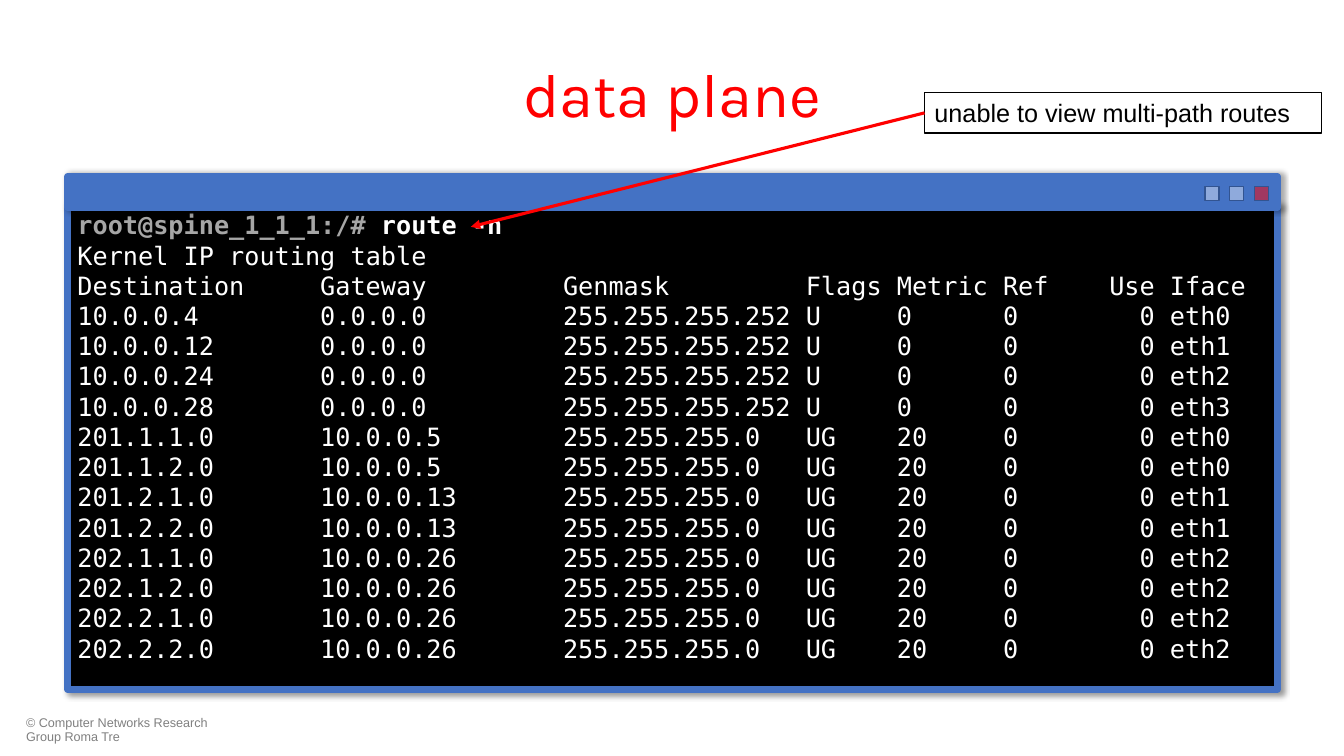
from pptx import Presentation
from pptx.dml.color import RGBColor as RGB
from pptx.enum.shapes import MSO_CONNECTOR as CONN, MSO_SHAPE as SHAPE
from pptx.enum.text import MSO_ANCHOR as ANCHOR, PP_ALIGN as ALIGN
from pptx.oxml.ns import qn
from pptx.util import Inches, Pt
from lxml.etree import SubElement

RED = RGB(0xFF, 0x00, 0x00)
BLACK = RGB(0x00, 0x00, 0x00)
WHITE = RGB(0xFF, 0xFF, 0xFF)
GRAY = RGB(0x80, 0x80, 0x80)
PROMPT_GRAY = RGB(0xA6, 0xA6, 0xA6)
BLUE = RGB(0x44, 0x72, 0xC4)
LIGHT_BLUE = RGB(0x8F, 0xAA, 0xDC)
DARK_BLUE = RGB(0x32, 0x54, 0x91)

MONO = {"name": "DejaVu Sans Mono", "size": Pt(18), "bold": False}
CHAR_WIDTH = 18 * 0.602 / 72
TAB_STOPS = [(16, "l"), (32, "l"), (48, "l"), (54, "l"), (61, "l"), (71, "r"), (72, "l")]

HEADER = ("Destination", "Gateway", "Genmask", "Flags", "Metric", "Ref", "Use", "Iface")
LINKS = [("10.0.0.4", "eth0"), ("10.0.0.12", "eth1"),
         ("10.0.0.24", "eth2"), ("10.0.0.28", "eth3")]
ROUTES = [("201.1.1.0", "10.0.0.5", "eth0"), ("201.1.2.0", "10.0.0.5", "eth0"),
          ("201.2.1.0", "10.0.0.13", "eth1"), ("201.2.2.0", "10.0.0.13", "eth1"),
          ("202.1.1.0", "10.0.0.26", "eth2"), ("202.1.2.0", "10.0.0.26", "eth2"),
          ("202.2.1.0", "10.0.0.26", "eth2"), ("202.2.2.0", "10.0.0.26", "eth2")]


def add_run(p, text, **font):
    """Add a run and set its font values."""
    r = p.add_run()
    r.text = text
    r.font.color.rgb = font.pop("color")
    for key, value in font.items():
        setattr(r.font, key, value)


def add_text(slide, box, text, align=ALIGN.LEFT, anchor=ANCHOR.TOP, **font):
    """Add a wrapped text box with one paragraph and return it."""
    sp = slide.shapes.add_textbox(*map(Inches, box))
    tf = sp.text_frame
    tf.word_wrap = True
    tf.vertical_anchor = anchor
    tf.paragraphs[0].alignment = align
    add_run(tf.paragraphs[0], text, **font)
    return sp


def add_rect(slide, box, fill, line, width):
    """Add a flat rectangle and return it."""
    sp = slide.shapes.add_shape(SHAPE.RECTANGLE, *map(Inches, box))
    sp.shadow.inherit = False
    sp.fill.solid()
    sp.fill.fore_color.rgb = fill
    sp.line.color.rgb = line
    sp.line.width = Pt(width)
    return sp


def add_shadow(sp, alpha, blur, dist, angle):
    """Give a shape a soft black outer shadow."""
    effects = sp._element.spPr.find(qn("a:effectLst"))
    shadow = SubElement(effects, qn("a:outerShdw"), blurRad=str(Pt(blur)), dist=str(Pt(dist)),
                        dir=str(angle * 60000), algn="tl", rotWithShape="0")
    color = SubElement(shadow, qn("a:srgbClr"), val=str(BLACK))
    SubElement(color, qn("a:alpha"), val=str(alpha * 1000))


def set_tabs(p):
    """Place the column tab stops of the routing table on a paragraph."""
    tabs = SubElement(p._p.get_or_add_pPr(), qn("a:tabLst"))
    for column, align in TAB_STOPS:
        SubElement(tabs, qn("a:tab"), pos=str(Inches(column * CHAR_WIDTH)), algn=align)


def fill_console(tf):
    """Write the command and its routing table."""
    tf.word_wrap = True
    tf.vertical_anchor = ANCHOR.TOP
    rows = [HEADER]
    rows += [(net, "0.0.0.0", "255.255.255.252", "U", "0", "0", "0", port)
             for net, port in LINKS]
    rows += [(net, gateway, "255.255.255.0", "UG", "20", "0", "0", port)
             for net, gateway, port in ROUTES]
    p = tf.paragraphs[0]
    p.alignment = ALIGN.LEFT
    bold = {**MONO, "bold": True}
    add_run(p, "root@spine_1_1_1:/# ", color=PROMPT_GRAY, **bold)
    add_run(p, "route -n", color=WHITE, **bold)
    for row in [("Kernel IP routing table",), *rows]:
        p = tf.add_paragraph()
        p.alignment = ALIGN.LEFT
        set_tabs(p)
        add_run(p, "\t".join(row), color=WHITE, **MONO)


def add_terminal(slide, x, y, w, h):
    """Draw the terminal window with its title bar and buttons."""
    screen = add_rect(slide, (x, y + 0.28, w, h - 0.28), BLACK, BLUE, 4.5)
    add_shadow(screen, 40, 4, 3, 45)
    fill_console(screen.text_frame)
    bar = add_rect(slide, (x, y, w, 0.31), BLUE, BLUE, 4.5)
    add_shadow(bar, 32, 4, 2, 0)
    for i, color in enumerate((LIGHT_BLUE, LIGHT_BLUE, RED)):
        box = (x + w - 0.72 + i * 0.245, y + 0.1, 0.14, 0.14)
        button = add_rect(slide, box, color, DARK_BLUE, 1)
    clr = button._element.spPr.find(qn("a:solidFill")).find(qn("a:srgbClr"))
    SubElement(clr, qn("a:alpha"), val="50000")


def add_callout(slide, x, y, w, h, target):
    """Draw the framed remark and its arrow to the target point."""
    sp = add_text(slide, (x, y, w, h), "unable to view multi-path routes",
                  name="Arial", size=Pt(18), color=BLACK)
    sp.line.color.rgb = BLACK
    sp.line.width = Pt(0.75)
    ends = map(Inches, (x, y + h / 2, *target))
    arrow = slide.shapes.add_connector(CONN.STRAIGHT, *ends)
    arrow.line.color.rgb = RED
    arrow.line.width = Pt(2.25)
    SubElement(arrow.line._get_or_add_ln(), qn("a:tailEnd"), type="triangle")
    SubElement(arrow._element.spPr, qn("a:effectLst"))


def main():
    """Build the slide and save it."""
    prs = Presentation()
    prs.slide_width, prs.slide_height = Inches(13.33), Inches(7.5)
    slide = prs.slides.add_slide(prs.slide_layouts[6])
    footer = add_text(slide, (0.16, 7.06, 2.31, 0.36),
                      "© Computer Networks Research Group Roma Tre",
                      name="Arial", size=Pt(9), color=GRAY)
    footer.text_frame.paragraphs[0].line_spacing = 0.9
    add_text(slide, (0.67, 0.3, 12, 1.25), "data plane", ALIGN.CENTER, ANCHOR.MIDDLE,
             name="Karla", size=Pt(44), color=RED)
    add_terminal(slide, 0.67, 1.75, 12, 5.09)
    add_callout(slide, 9.17, 0.92, 3.94, 0.4, (4.67, 2.25))
    prs.save("out.pptx")


if __name__ == "__main__":
    main()
